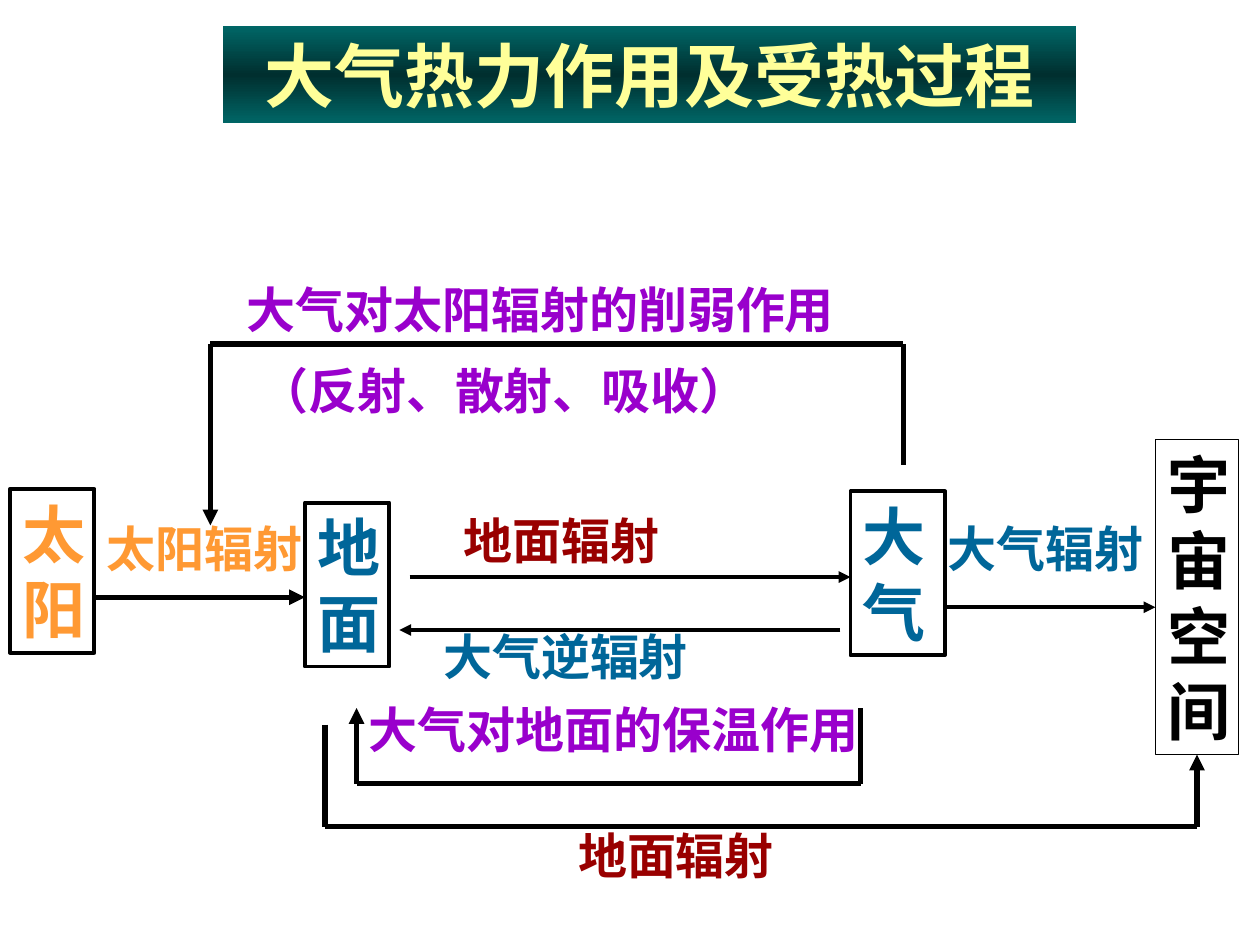
from copy import deepcopy
from dataclasses import dataclass
from itertools import pairwise

from lxml import etree
from pptx import Presentation
from pptx.dml.color import RGBColor
from pptx.enum.shapes import MSO_CONNECTOR, MSO_SHAPE
from pptx.enum.text import MSO_ANCHOR, MSO_AUTO_SIZE, PP_ALIGN
from pptx.oxml.ns import qn
from pptx.util import Inches, Pt

RECTANGLE = MSO_SHAPE.RECTANGLE
STRAIGHT = MSO_CONNECTOR.STRAIGHT
TOP = MSO_ANCHOR.TOP
NO_AUTOFIT = MSO_AUTO_SIZE.NONE
LEFT, CENTER = PP_ALIGN.LEFT, PP_ALIGN.CENTER
BOTTOM_SIDE = 2


@dataclass(frozen=True)
class Theme:
    font: str = "Times New Roman"
    title_size: int = 40
    node_size: int = 36
    label_size: int = 28
    black: str = "000000"
    sun: str = "FF9933"
    air: str = "006699"
    ground: str = "990000"
    effect: str = "9900CC"
    title: str = "FFFF99"
    band: tuple = ((0, "006666"), (0.5, "002F2F"), (1, "006666"))
    thin: float = 0.75
    medium: float = 2.25
    thick: float = 3


class DiagramSlide:
    """Draws the parts of a flow diagram on one slide in one theme."""

    def __init__(self, slide, theme):
        self.slide = slide
        self.theme = theme

    def add_text(self, frame, text, size, color, align):
        frame.word_wrap = True
        frame.auto_size = NO_AUTOFIT
        frame.vertical_anchor = TOP
        frame.margin_left = frame.margin_right = Inches(0.1)
        frame.margin_top = frame.margin_bottom = Inches(0.05)
        paragraph = frame.paragraphs[0]
        paragraph.alignment = align
        run = paragraph.add_run()
        run.text = text
        run.font.name = self.theme.font
        run.font.size = Pt(size)
        run.font.bold = True
        run.font.color.rgb = RGBColor.from_string(color)

    def title(self, text, left, top, width, height):
        banner = self.slide.shapes.title
        banner.left, banner.top = Inches(left), Inches(top)
        banner.width, banner.height = Inches(width), Inches(height)
        banner.fill.gradient()
        banner.fill.gradient_angle = 270
        stop_list = banner.element.spPr.find(qn("a:gradFill")).find(qn("a:gsLst"))
        stop_list.insert(1, deepcopy(stop_list[0]))
        for stop, (position, color) in zip(banner.fill.gradient_stops, self.theme.band):
            stop.position = position
            stop.color.rgb = RGBColor.from_string(color)
        self.add_text(banner.text_frame, text, self.theme.title_size, self.theme.title, CENTER)

    def node(self, text, left, top, width, height, color, weight):
        box = self.slide.shapes.add_shape(
            RECTANGLE, Inches(left), Inches(top), Inches(width), Inches(height))
        box.shadow.inherit = False
        box.fill.background()
        box.line.color.rgb = RGBColor.from_string(self.theme.black)
        box.line.width = Pt(weight)
        self.add_text(box.text_frame, text, self.theme.node_size, color, LEFT)
        return box

    def label(self, text, left, top, width, color, align=LEFT):
        caption = self.slide.shapes.add_textbox(
            Inches(left), Inches(top), Inches(width), Inches(0.57))
        self.add_text(caption.text_frame, text, self.theme.label_size, color, align)

    def arrow(self, points, weight):
        for start, end in pairwise(points):
            segment = self.slide.shapes.add_connector(
                STRAIGHT, *(Inches(value) for value in (*start, *end)))
            segment.line.color.rgb = RGBColor.from_string(self.theme.black)
            segment.line.width = Pt(weight)
            etree.SubElement(segment.element.spPr, qn("a:effectLst"))
        outline = segment.element.spPr.find(qn("a:ln"))
        etree.SubElement(outline, qn("a:tailEnd"), type="triangle")
        return segment


def main():
    deck = Presentation()
    deck.slide_width, deck.slide_height = Inches(10), Inches(7.5)
    theme = Theme()
    diagram = DiagramSlide(deck.slides.add_slide(deck.slide_layouts[5]), theme)

    diagram.title("大气热力作用及受热过程", 1.77, 0.21, 6.77, 0.77)

    diagram.node("太阳", 0.08, 3.88, 0.67, 1.3, theme.sun, theme.medium)
    diagram.node("地面", 2.42, 3.99, 0.67, 1.3, theme.air, theme.medium)
    diagram.node("大气", 6.75, 3.9, 0.75, 1.3, theme.air, theme.medium)
    space = diagram.node("宇宙空间", 9.17, 3.49, 0.66, 2.5, theme.black, theme.thin)

    diagram.arrow([(0.75, 4.74), (2.42, 4.74)], theme.thick)
    diagram.arrow([(3.25, 4.58), (6.75, 4.58)], theme.medium)
    diagram.arrow([(6.67, 5), (3.17, 5)], theme.medium)
    diagram.arrow([(7.5, 4.82), (9.17, 4.82)], theme.medium)
    diagram.arrow([(7.17, 3.69), (7.17, 2.73), (1.67, 2.73), (1.67, 4.17)], theme.thick)
    diagram.arrow([(6.83, 5.62), (6.83, 6.22), (2.83, 6.22), (2.83, 5.62)], theme.thick)
    ground_to_space = diagram.arrow(
        [(2.58, 5.75), (2.58, 6.56), (9.5, 6.56), (9.5, 5.99)], theme.thick)
    ground_to_space.end_connect(space, BOTTOM_SIDE)

    diagram.label("太阳辐射", 0.58, 4.07, 2.08, theme.sun, CENTER)
    diagram.label("地面辐射", 3.58, 4, 2, theme.ground)
    diagram.label("大气逆辐射", 3.42, 4.92, 2.5, theme.air)
    diagram.label("大气辐射", 7.42, 4.07, 2, theme.air)
    diagram.label("大气对太阳辐射的削弱作用", 1.86, 2.17, 5.79, theme.effect)
    diagram.label("（反射、散射、吸收）", 1.96, 2.81, 5.79, theme.effect)
    diagram.label("大气对地面的保温作用", 2.83, 5.5, 4.17, theme.effect)
    diagram.label("地面辐射", 4.49, 6.5, 3.91, theme.ground)

    deck.save("out.pptx")


if __name__ == "__main__":
    main()
